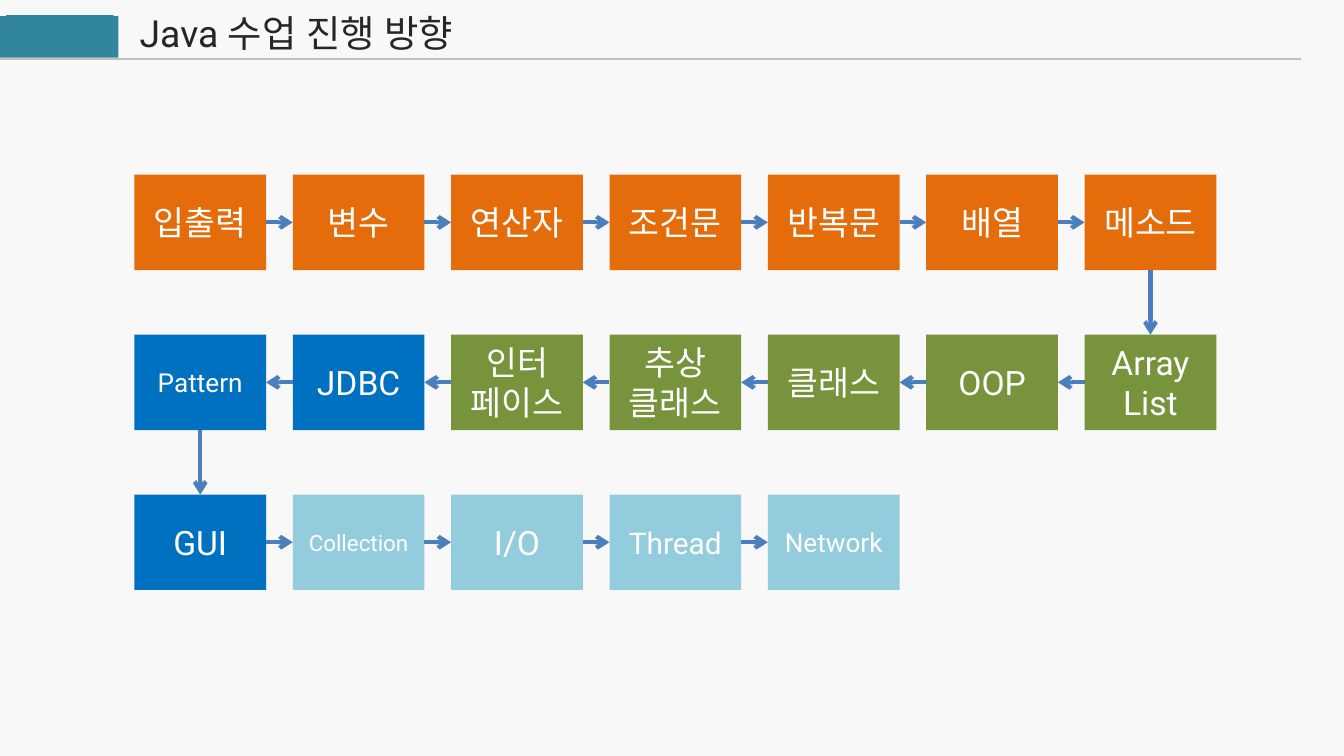
from dataclasses import dataclass
from itertools import pairwise

from lxml import etree
from pptx import Presentation
from pptx.dml.color import RGBColor
from pptx.enum import shapes, text
from pptx.oxml import ns
from pptx.util import Inches, Pt

FONT = "Roboto"
ORANGE, GREEN, BLUE, SKY = "E46C0A", "77933C", "0070C0", "93CDDD"
TEAL, GRAY, ARROW = "31859C", "BFBFBF", "4B7EBC"
LEFT, TOP = 1, 1.3
STEP_X, STEP_Y = 7.07 / 6, 1.19
BOX_W, BOX_H = 0.98, 0.71
BELOW, WEST, EAST = (2, 0), (1, 3), (3, 1)


@dataclass
class Topic:
    label: str
    fill: str
    col: int
    row: int
    size: int = 18


# Topics in teaching order; the middle row runs right to left
TOPICS = [
    Topic("입출력", ORANGE, 0, 0),
    Topic("변수", ORANGE, 1, 0),
    Topic("연산자", ORANGE, 2, 0),
    Topic("조건문", ORANGE, 3, 0),
    Topic("반복문", ORANGE, 4, 0),
    Topic("배열", ORANGE, 5, 0),
    Topic("메소드", ORANGE, 6, 0),
    Topic("Array\nList", GREEN, 6, 1),
    Topic("OOP", GREEN, 5, 1),
    Topic("클래스", GREEN, 4, 1),
    Topic("추상\n클래스", GREEN, 3, 1),
    Topic("인터\n페이스", GREEN, 2, 1),
    Topic("JDBC", BLUE, 1, 1),
    Topic("Pattern", BLUE, 0, 1, 14),
    Topic("GUI", BLUE, 0, 2),
    Topic("Collection", SKY, 1, 2, 12),
    Topic("I/O", SKY, 2, 2),
    Topic("Thread", SKY, 3, 2, 16),
    Topic("Network", SKY, 4, 2, 14),
]


def paint(color, value: str) -> None:
    color.rgb = RGBColor.from_string(value)


def add_rect(slide, x: float, y: float, w: float, h: float, fill: str):
    rect = slide.shapes.add_shape(
        shapes.MSO_SHAPE.RECTANGLE, Inches(x), Inches(y), Inches(w), Inches(h))
    rect.shadow.inherit = False
    rect.fill.solid()
    paint(rect.fill.fore_color, fill)
    rect.line.fill.background()
    return rect


def write(frame, words: str, size: int, color: str, align) -> None:
    frame.word_wrap = True
    frame.text = words
    for para in frame.paragraphs:
        para.alignment = align
        para.font.name = FONT
        para.font.size = Pt(size)
        paint(para.font.color, color)
        # Hangul takes the same typeface
        etree.SubElement(para.font._element, ns.qn("a:ea"), typeface=FONT)


def add_topic(slide, topic: Topic):
    box = add_rect(slide, LEFT + topic.col * STEP_X, TOP + topic.row * STEP_Y,
                   BOX_W, BOX_H, topic.fill)
    frame = box.text_frame
    frame.margin_left = frame.margin_right = Inches(0.05)
    frame.vertical_anchor = text.MSO_ANCHOR.MIDDLE
    write(frame, topic.label, topic.size, "FFFFFF", text.PP_ALIGN.CENTER)
    return box


def add_line(slide, start: float, end: float, y: float, color: str, width: float):
    line = slide.shapes.add_connector(
        shapes.MSO_CONNECTOR.STRAIGHT, Inches(start), Inches(y), Inches(end), Inches(y))
    paint(line.line.color, color)
    line.line.width = Pt(width)
    etree.SubElement(line._element.spPr, ns.qn("a:effectLst"))
    return line


def join(slide, first, second, sides: tuple[int, int]) -> None:
    line = add_line(slide, 0, 1, 0, ARROW, 2.25)
    line.begin_connect(first, sides[0])
    line.end_connect(second, sides[1])
    etree.SubElement(line.line._get_or_add_ln(), ns.qn("a:tailEnd"), type="arrow")


def get_sides(a: Topic, b: Topic) -> tuple[int, int]:
    if a.row != b.row:
        return BELOW
    return EAST if b.col > a.col else WEST


def main() -> None:
    deck = Presentation()
    # Widescreen, 16 to 9
    deck.slide_width, deck.slide_height = Inches(10), Inches(10 * 9 / 16)
    slide = deck.slides.add_slide(deck.slide_layouts[6])
    slide.background.fill.solid()
    paint(slide.background.fill.fore_color, "F8F8F8")

    # Header: title, tab with its outlined inset, rule
    title = slide.shapes.add_textbox(
        Inches(0.94), Inches(0.03), Inches(4.85), Inches(0.44))
    write(title.text_frame, "Java 수업 진행 방향", 20, "262626", text.PP_ALIGN.LEFT)
    add_rect(slide, -0.01, 0.12, 0.89, 0.31, TEAL)
    inset = add_rect(slide, 0.05, 0.12, 0.79, 0.3, TEAL)
    paint(inset.line.color, TEAL)
    inset.line.width = Pt(0.75)
    add_line(slide, -0.01, 9.68, 0.44, GRAY, 1)

    # Topics and the arrows between them
    steps = [(topic, add_topic(slide, topic)) for topic in TOPICS]
    for (a, first), (b, second) in pairwise(steps):
        join(slide, first, second, get_sides(a, b))

    deck.save("out.pptx")


if __name__ == "__main__":
    main()
